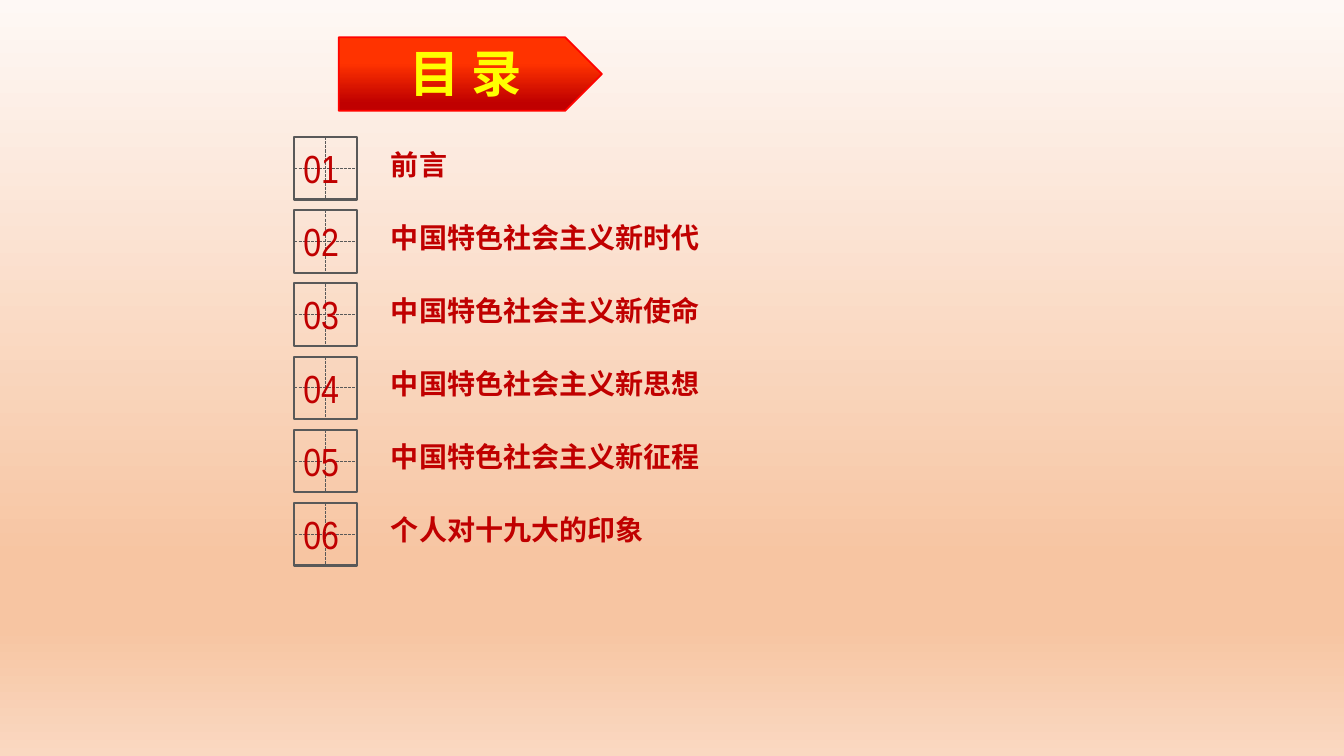
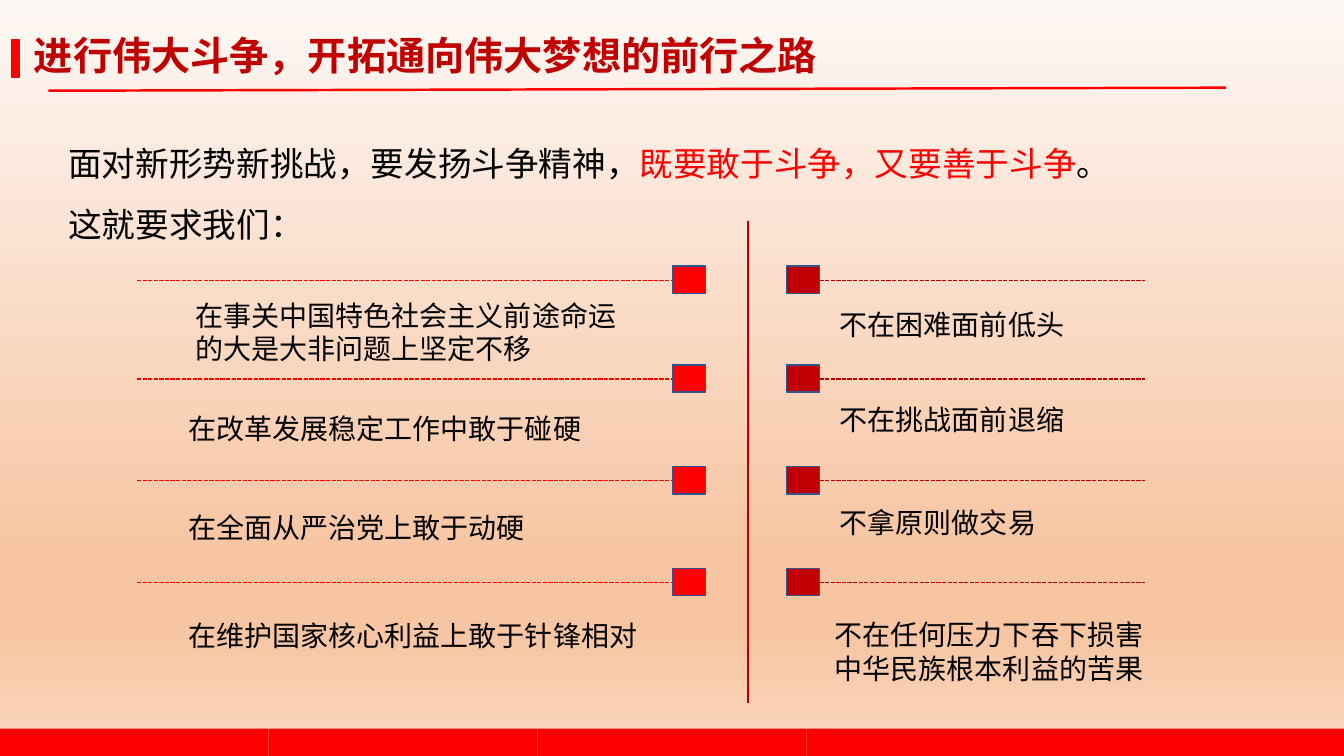
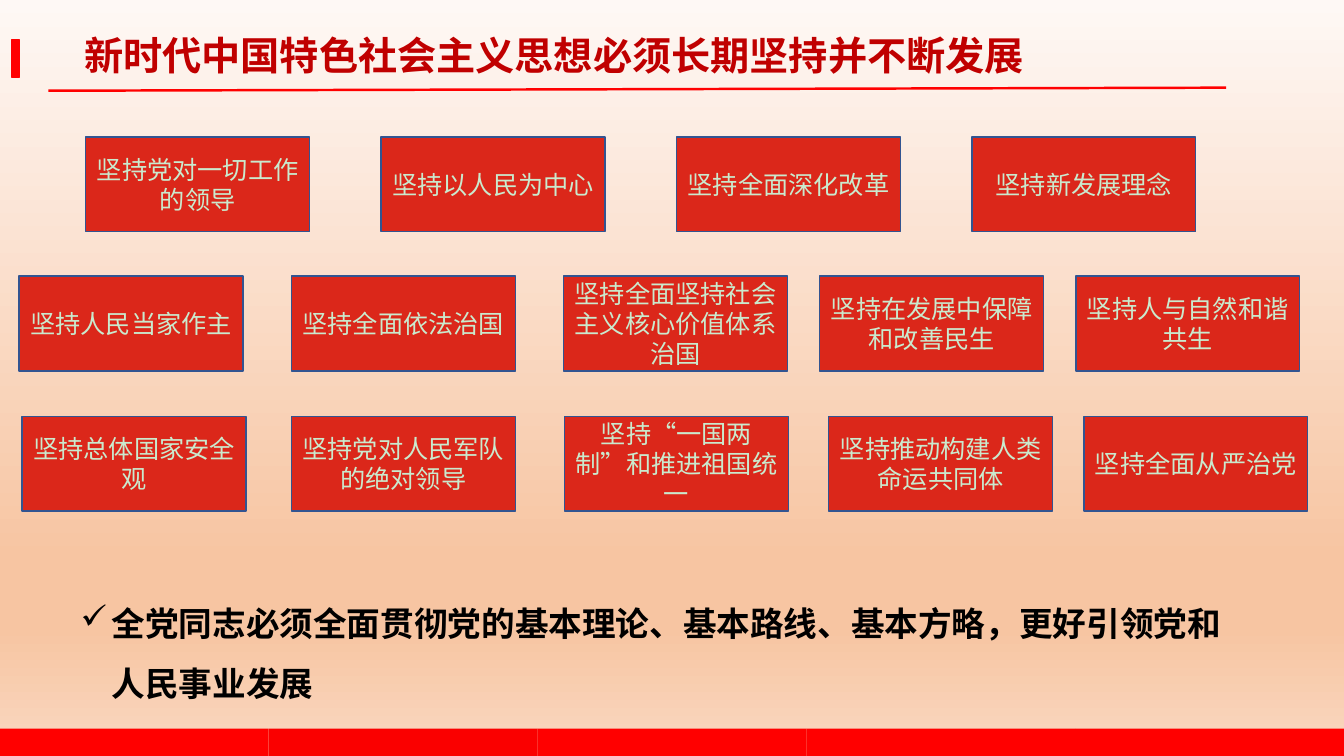
from dataclasses import dataclass

from lxml import etree
from pptx import Presentation
from pptx.dml.color import RGBColor
from pptx.enum.dml import MSO_LINE
from pptx.enum.shapes import MSO_CONNECTOR, MSO_SHAPE
from pptx.enum.text import MSO_ANCHOR, MSO_AUTO_SIZE, PP_ALIGN
from pptx.oxml.ns import qn
from pptx.util import Inches, Pt

RECT, ARROW = MSO_SHAPE.RECTANGLE, MSO_SHAPE.PENTAGON
STRAIGHT, DASH = MSO_CONNECTOR.STRAIGHT, MSO_LINE.SQUARE_DOT
MID, TOP = MSO_ANCHOR.MIDDLE, MSO_ANCHOR.TOP
LEFT, MIDDLE = PP_ALIGN.LEFT, PP_ALIGN.CENTER
GROW, FIXED = MSO_AUTO_SIZE.SHAPE_TO_FIT_TEXT, MSO_AUTO_SIZE.NONE
WIDE, HIGH = 13.33, 7.5


@dataclass(frozen=True)
class Theme:
    """Colours, fonts and type sizes of the deck."""
    red: str = "FF0000"
    band: str = "FA0000"
    dark: str = "C00000"
    ink: str = "000000"
    gold: str = "FFFF00"
    rim: str = "FF0300"
    grey: str = "595959"
    blue: str = "325491"
    tile: str = "DB271A"
    mint: str = "CAEACE"
    sans: str = "Noto Sans CJK SC"
    slim: str = "Arial Narrow"
    sign: int = 36
    head: int = 28
    lead: int = 24
    body: int = 20
    note: int = 18
    back: tuple = ((0, "FEF8F5"), (74, "F7C5A2"), (83, "F7C5A2"), (100, "FAD8C1"))
    glow: tuple = ((35, "FF3300"), (89, "C00000"))


T = Theme()

TOPICS = ["前言", "中国特色社会主义新时代", "中国特色社会主义新使命",
          "中国特色社会主义新思想", "中国特色社会主义新征程", "个人对十九大的印象"]

RULES = (2.78, 3.76, 4.77, 5.78)
DARE = [(1.84, 2.91, 4.64, "在事关中国特色社会主义前途命运的大是大非问题上坚定不移"),
        (1.77, 4.03, 4.8, "在改革发展稳定工作中敢于碰硬"),
        (1.77, 5.02, 4.8, "在全面从严治党上敢于动硬"),
        (1.77, 6.09, 4.8, "在维护国家核心利益上敢于针锋相对")]
SHUN = [(8.23, 3, 3.29, "不在困难面前低头"),
        (8.23, 3.94, 3.29, "不在挑战面前退缩"),
        (8.23, 4.97, 3.29, "不拿原则做交易"),
        (8.18, 6.08, 3.29, "不在任何压力下吞下损害中华民族根本利益的苦果")]

TILES = [
    (1.36, (0.85, 3.78, 6.71, 9.64),
     ("坚持党对一切工作的领导", "坚持以人民为中心", "坚持全面深化改革", "坚持新发展理念")),
    (2.74, (0.19, 2.89, 5.59, 8.13, 10.67),
     ("坚持人民当家作主", "坚持全面依法治国", "坚持全面坚持社会主义核心价值体系治国",
      "坚持在发展中保障和改善民生", "坚持人与自然和谐共生")),
    (4.13, (0.22, 2.89, 5.6, 8.22, 10.75),
     ("坚持总体国家安全观", "坚持党对人民军队的绝对领导", "坚持“一国两制”和推进祖国统一",
      "坚持推动构建人类命运共同体", "坚持全面从严治党")),
]


def rgb(hue):
    """Turn a hex string into a colour."""
    return RGBColor.from_string(hue)


def fade(owner, fill, stops):
    """Fill an owner with a gradient that runs from top to bottom."""
    fill.gradient()
    fill.gradient_angle = 270
    items = next(owner.element.iter(qn("a:gsLst")))
    for old in list(items):
        items.remove(old)
    for spot, hue in stops:
        stop = etree.SubElement(items, qn("a:gs"), pos=str(spot * 1000))
        etree.SubElement(stop, qn("a:srgbClr"), val=hue)


def block(slide, box, fill=None, edge=None, width=1, kind=RECT):
    """Draw a preset shape in a box."""
    shape = slide.shapes.add_shape(kind, *map(Inches, box))
    shape.shadow.inherit = False
    if isinstance(fill, tuple):
        fade(shape, shape.fill, fill)
    elif fill:
        shape.fill.solid()
        shape.fill.fore_color.rgb = rgb(fill)
    else:
        shape.fill.background()
    if edge:
        shape.line.color.rgb = rgb(edge)
        shape.line.width = Pt(width)
    else:
        shape.line.fill.background()
    return shape


def rule(slide, ends, hue, width, dash=None):
    """Draw a straight line between two points."""
    line = slide.shapes.add_connector(STRAIGHT, *map(Inches, ends))
    line.line.color.rgb = rgb(hue)
    line.line.width = Pt(width)
    line.line.dash_style = dash
    etree.SubElement(line.element.spPr, qn("a:effectLst"))


def write(shape, paras, size, hue, face=T.sans, bold=False, align=LEFT,
          lead=None, mark=None, **frame):
    """Put paragraphs of text, or of (text, colour) runs, into a shape."""
    for name, value in ({"word_wrap": True} | frame).items():
        setattr(shape.text_frame, name, value)
    for i, runs in enumerate(paras):
        para = shape.text_frame.paragraphs[0] if i == 0 else shape.text_frame.add_paragraph()
        if mark:
            props = para._p.get_or_add_pPr()
            props.set("marL", str(Inches(0.31)))
            props.set("indent", str(-Inches(0.31)))
            etree.SubElement(props, qn("a:buChar"), char=mark)
        para.alignment = align
        if lead:
            para.line_spacing = lead
        for words, tint in [(runs, hue)] if isinstance(runs, str) else runs:
            run = para.add_run()
            run.text = words
            for name, value in {"size": Pt(size), "bold": bold, "name": face}.items():
                setattr(run.font, name, value)
            run.font.color.rgb = rgb(tint)
            etree.SubElement(run._r.get_or_add_rPr(), qn("a:ea"), typeface=face)


def label(slide, box, paras, size, hue, **style):
    """Add a text box that grows with its text."""
    shape = slide.shapes.add_textbox(*map(Inches, box))
    write(shape, paras, size, hue, **({"auto_size": GROW, "vertical_anchor": TOP} | style))


def page(deck):
    """Add a blank slide with the shared background."""
    slide = deck.slides.add_slide(deck.slide_layouts[6])
    fade(slide, slide.background.fill, T.back)
    return slide


def frame(deck, title, width):
    """Add a slide with the title, its rule and the footer band."""
    slide = page(deck)
    pads = dict.fromkeys(("margin_left", "margin_top", "margin_right", "margin_bottom"), 0)
    label(slide, (0.26, 0.31, width, 0.47), [title], T.head, T.dark,
          bold=True, align=MIDDLE, **pads)
    block(slide, (0.12, 0.39, 0.07, 0.38), T.red, T.red)
    rule(slide, (0.48, 0.9, 12.16, 0.87), T.red, 1.75)
    part = WIDE / 5
    for i in range(5):
        block(slide, (i * part, 7.23, part, 0.27), T.band if i == 1 else T.red)
    return slide


def sign(slide, box):
    """Draw the arrow that names the contents."""
    x, y, w, h = box
    block(slide, box, T.glow, T.rim, 1.25, ARROW)
    label(slide, (x + 0.6, y, w - 0.8, h), ["目 录"], T.sign, T.gold, bold=True)


def topic(slide, box, num, words):
    """Draw one numbered entry of the contents."""
    x, y, w, h = box
    side = 0.62
    half = side / 2
    block(slide, (x, y, side, side), None, T.grey, 1.5)
    rule(slide, (x, y + half, x + side, y + half), T.grey, 0.75, DASH)
    rule(slide, (x + half, y, x + half, y + side), T.grey, 0.75, DASH)
    label(slide, (x - 0.01, y + 0.02, 0.63, 0.57), [f"{num:02}"], T.head, T.dark,
          face=T.slim, vertical_anchor=MID)
    label(slide, (x + 0.86, y + 0.05, w - 0.86, h), [words], T.body, T.dark, bold=True)


def column(slide, left, right, knob, hue, items):
    """Draw dashed rules with a square at one end, and their texts."""
    for y, (x, top, width, words) in zip(RULES, items):
        block(slide, (knob, y - 0.14, 0.33, 0.27), hue, T.blue)
        rule(slide, (left, y, right, y), hue, 1, DASH)
        label(slide, (x, top, width, 0.44), [words], T.body, T.ink)


def contents(deck):
    """Build the contents slide."""
    slide = page(deck)
    sign(slide, (3.36, 0.37, 2.61, 0.73))
    pitch = (4.99 - 1.36) / (len(TOPICS) - 1)
    for i, words in enumerate(TOPICS):
        topic(slide, (2.92, 1.36 + i * pitch, 9, 0.44), i + 1, words)


def struggle(deck):
    """Build the slide with two columns of demands."""
    slide = frame(deck, "进行伟大斗争，开拓通向伟大梦想的前行之路", 7.92)
    label(slide, (0.58, 1.17, 10.79, 1.31),
          [[("面对新形势新挑战，要发扬斗争精神，", T.ink),
            ("既要敢于斗争，又要善于斗争", T.red), ("。", T.ink)],
           "这就要求我们："], T.lead, T.ink, lead=1.5)
    rule(slide, (7.42, 2.19, 7.42, 6.97), T.dark, 1.5)
    column(slide, 8.13, 11.36, 7.8, T.dark, SHUN)
    column(slide, 1.36, 6.67, 6.67, T.red, DARE)


def tenets(deck):
    """Build the slide with rows of tiles."""
    slide = frame(deck, "新时代中国特色社会主义思想必须长期坚持并不断发展", 10.47)
    label(slide, (0.7, 5.73, 11.61, 1.24),
          ["全党同志必须全面贯彻党的基本理论、基本路线、基本方略，更好引领党和人民事业发展"],
          T.lead, T.ink, bold=True, lead=1.5, mark="✓")
    for y, lefts, texts in TILES:
        for x, words in zip(lefts, texts):
            tile = block(slide, (x, y, 2.22, 0.94), T.tile, T.blue)
            write(tile, [words], T.note, T.mint, align=MIDDLE,
                  vertical_anchor=MID, auto_size=FIXED)


def main():
    """Build and save the deck."""
    deck = Presentation()
    deck.slide_width, deck.slide_height = Inches(WIDE), Inches(HIGH)
    for build in (contents, struggle, tenets):
        build(deck)
    deck.save("out.pptx")


if __name__ == "__main__":
    main()
